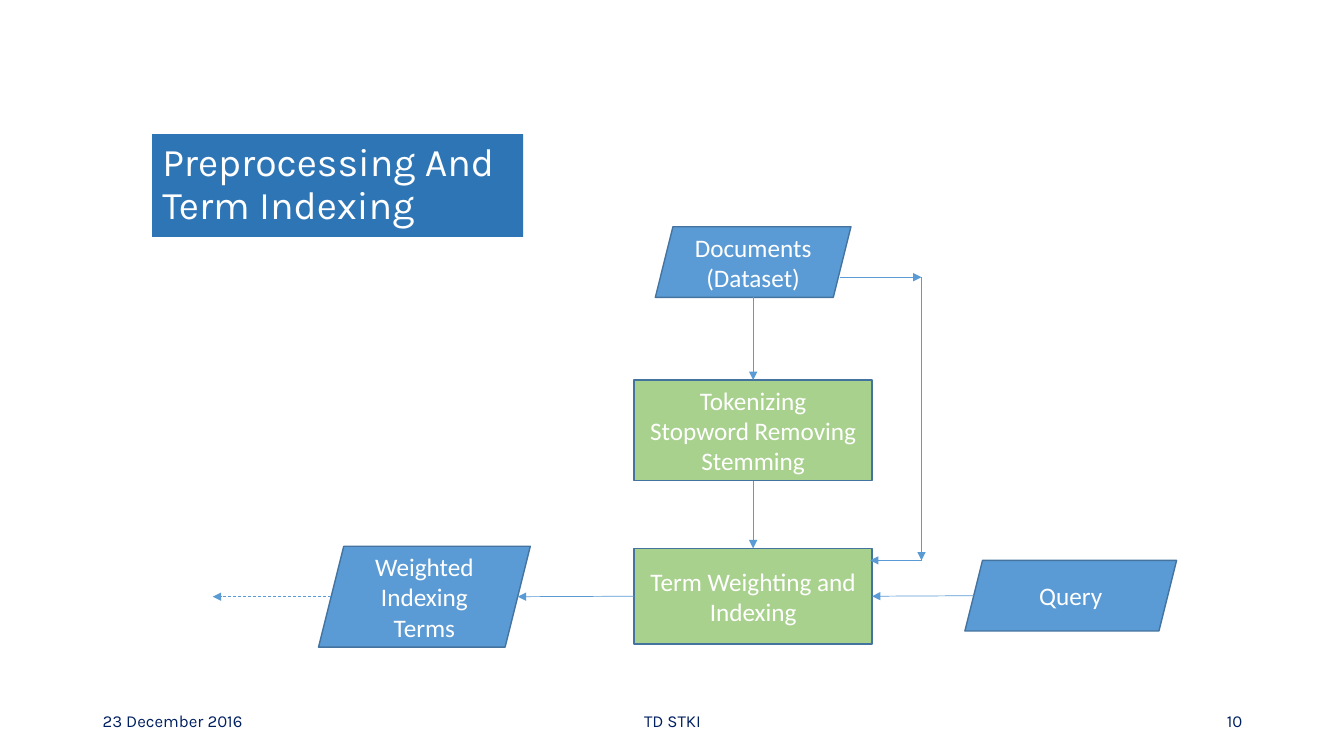
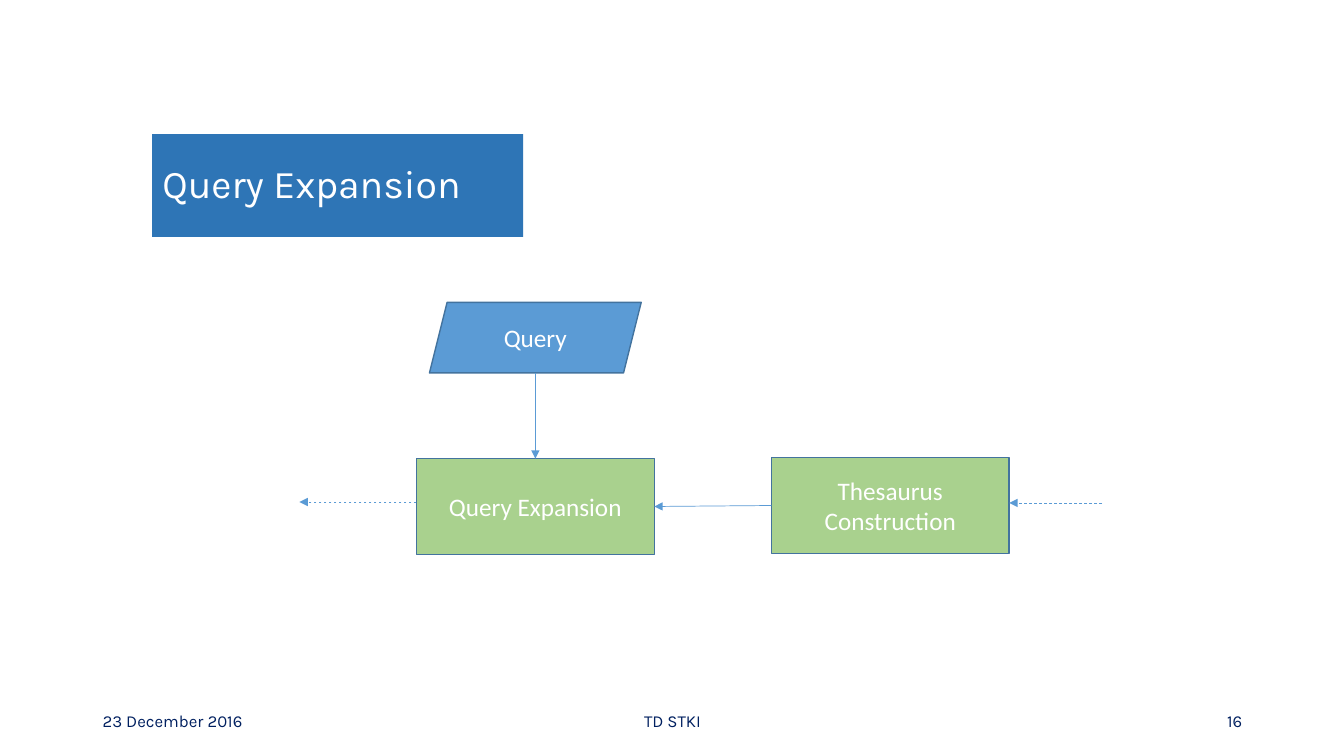
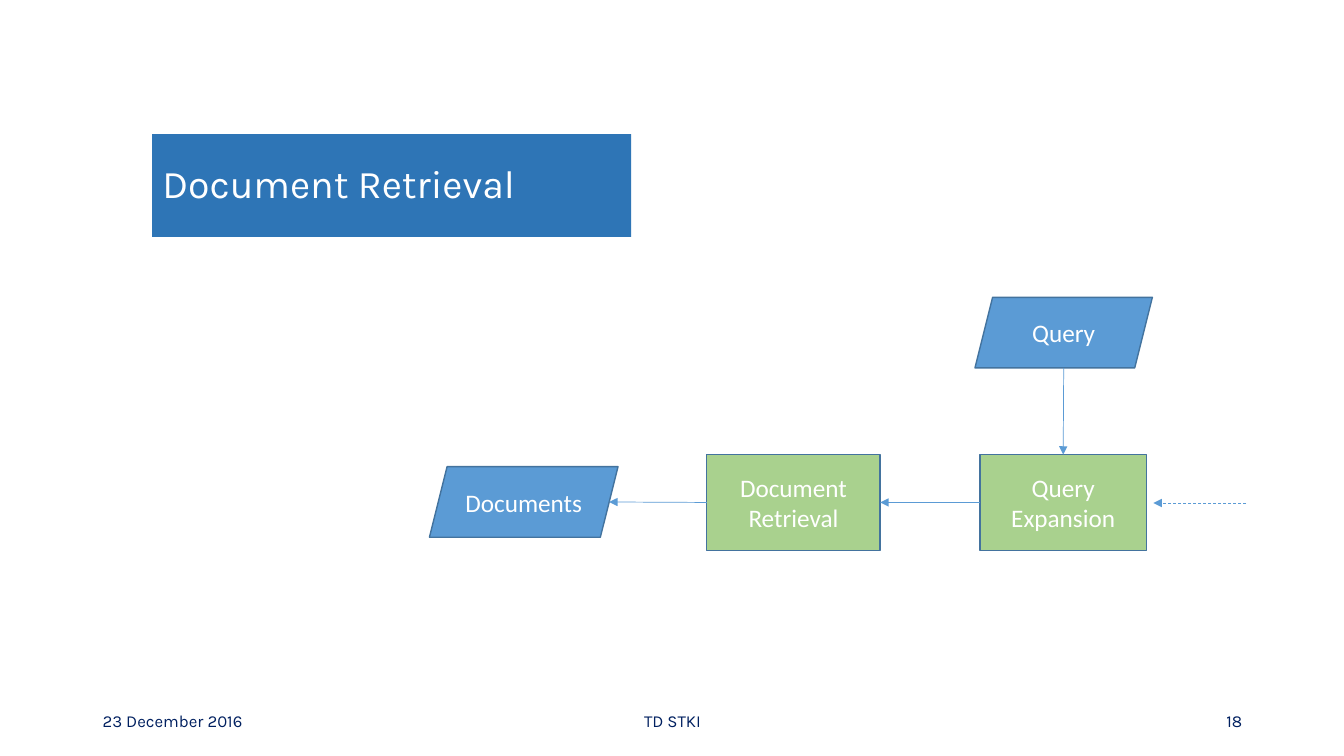
import itertools

import pptx
import pptx.dml.color
import pptx.enum.dml
import pptx.enum.shapes
import pptx.enum.text
import pptx.oxml
import pptx.oxml.ns
import pptx.util

Inches = pptx.util.Inches
Pt = pptx.util.Pt
RGBColor = pptx.dml.color.RGBColor
Align = pptx.enum.text.PP_ALIGN
Shapes = pptx.enum.shapes.MSO_SHAPE

WHITE = RGBColor(0xFF, 0xFF, 0xFF)
NAVY = RGBColor(0x00, 0x20, 0x60)
TITLE_BLUE = RGBColor(0x2E, 0x75, 0xB6)
DATA_BLUE = RGBColor(0x5B, 0x9B, 0xD5)
PROCESS_GREEN = RGBColor(0xA9, 0xD1, 0x8E)
OUTLINE = RGBColor(0x43, 0x73, 0x9E)

TITLE_FONT = {"name": "Karla", "size": Pt(28)}
FOOTER_FONT = {"name": "Karla", "size": Pt(12)}
NODE_FONT = {"name": "Calibri", "size": Pt(18)}
FRAME = {
    "word_wrap": True,
    "auto_size": pptx.enum.text.MSO_AUTO_SIZE.NONE,
    "vertical_anchor": pptx.enum.text.MSO_ANCHOR.MIDDLE,
}
TOP, LEFT, BOTTOM, RIGHT = range(4)


def apply(target, values):
    for name, value in values.items():
        setattr(target, name, value)


def write(shape, text, font, colour, alignment, **layout):
    shape.text_frame.text = text
    apply(shape.text_frame, FRAME)
    for para in shape.text_frame.paragraphs:
        apply(para, {"alignment": alignment, **layout})
        for span in para.runs:
            apply(span.font, font)
            span.font.color.rgb = colour


def add_title(slide, text, left, top, width, height):
    title = slide.shapes.title
    box = {"left": left, "top": top, "width": width, "height": height}
    apply(title, {name: Inches(value) for name, value in box.items()})
    title.fill.solid()
    title.fill.fore_color.rgb = TITLE_BLUE
    write(title, text, TITLE_FONT, WHITE, Align.LEFT, line_spacing=0.9)


def add_footer(slide, number, left, top, width, height):
    parts = [
        ("23 December 2016", 0, 3, Align.LEFT),
        ("TD STKI", (width - 4.5) / 2, 4.5, Align.CENTER),
        (number, width - 3, 3, Align.RIGHT),
    ]
    for text, offset, part_width, alignment in parts:
        box = slide.shapes.add_textbox(
            Inches(left + offset), Inches(top), Inches(part_width), Inches(height))
        write(box, text, FOOTER_FONT, NAVY, alignment)


class Flow:
    def __init__(self, slide, left, top):
        self.shapes = slide.shapes
        self.left = Inches(left)
        self.top = Inches(top)

    def node(self, preset, colour, text, left, top, width, height):
        shape = self.shapes.add_shape(
            preset, self.left + Inches(left), self.top + Inches(top),
            Inches(width), Inches(height))
        shape.shadow.inherit = False
        shape.fill.solid()
        shape.fill.fore_color.rgb = colour
        shape.line.color.rgb = OUTLINE
        shape.line.width = Pt(1)
        write(shape, text, NODE_FONT, WHITE, Align.CENTER)
        return shape

    def data(self, *details):
        return self.node(Shapes.PARALLELOGRAM, DATA_BLUE, *details)

    def process(self, *details):
        return self.node(Shapes.RECTANGLE, PROCESS_GREEN, *details)

    def locate(self, end):
        first, second = end
        if isinstance(first, (int, float)):
            return self.left + Inches(first), self.top + Inches(second)
        slant = first.height // 8 if first.auto_shape_type == Shapes.PARALLELOGRAM else 0
        middle_x = first.left + first.width // 2
        middle_y = first.top + first.height // 2
        return {
            TOP: (middle_x, first.top),
            LEFT: (first.left + slant, middle_y),
            BOTTOM: (middle_x, first.top + first.height),
            RIGHT: (first.left + first.width - slant, middle_y),
        }[second]

    def arrow(self, start, end, dashed=False):
        line = self.shapes.add_connector(
            pptx.enum.shapes.MSO_CONNECTOR.STRAIGHT, *self.locate(start), *self.locate(end))
        for (target, site), connect in ((start, line.begin_connect), (end, line.end_connect)):
            if getattr(target, "auto_shape_type", None) == Shapes.RECTANGLE:
                connect(target, site)
        line.line.color.rgb = DATA_BLUE
        line.line.width = Pt(0.5)
        if dashed:
            line.line.dash_style = pptx.enum.dml.MSO_LINE.DASH
        properties = line._element.spPr
        head = pptx.oxml.parse_xml(
            f'<a:tailEnd {pptx.oxml.ns.nsdecls("a")} type="triangle"/>')
        properties.find(pptx.oxml.ns.qn("a:ln")).append(head)
        properties.append(pptx.oxml.parse_xml(f'<a:effectLst {pptx.oxml.ns.nsdecls("a")}/>'))


def draw_preprocessing(slide, left, top):
    flow = Flow(slide, left, top)
    documents = flow.data("Documents\n(Dataset)", 4.39, 0, 1.94, 0.7)
    cleaning = flow.process("Tokenizing\nStopword Removing\nStemming", 4.18, 1.52, 2.36, 1)
    terms = flow.data("Weighted Indexing\nTerms", 1.05, 3.17, 2.1, 1)
    weighting = flow.process("Term Weighting and Indexing", 4.18, 3.19, 2.36, 0.95)
    query = flow.data("Query", 7.46, 3.31, 2.1, 0.7)
    flow.arrow((documents, BOTTOM), (cleaning, TOP))
    flow.arrow((cleaning, BOTTOM), (weighting, TOP))
    flow.arrow((query, LEFT), (weighting, RIGHT))
    flow.arrow((weighting, LEFT), (terms, RIGHT))
    flow.arrow((terms, LEFT), (0, 3.67), dashed=True)
    detour = [(6.22, 0.5), (7.03, 0.5), (7.03, 3.31), (6.52, 3.31)]
    for start, end in zip(detour, itertools.islice(detour, 1, None)):
        flow.arrow(start, end)


def draw_expansion(slide, left, top):
    flow = Flow(slide, left, top)
    query = flow.data("Query", 1.29, 0, 2.1, 0.7)
    expansion = flow.process("Query Expansion", 1.16, 1.55, 2.36, 0.95)
    thesaurus = flow.process("Thesaurus Construction", 4.68, 1.54, 2.36, 0.95)
    flow.arrow((query, BOTTOM), (expansion, TOP))
    flow.arrow((thesaurus, LEFT), (expansion, RIGHT))
    flow.arrow((7.96, 1.99), (7.04, 1.99), dashed=True)
    flow.arrow((1.16, 1.98), (0, 1.98), dashed=True)


def draw_retrieval(slide, left, top):
    flow = Flow(slide, left, top)
    query = flow.data("Query", 5.41, 0, 1.76, 0.7)
    expansion = flow.process("Query Expansion", 5.46, 1.56, 1.65, 0.95)
    retrieval = flow.process("Document Retrieval", 2.75, 1.56, 1.72, 0.95)
    documents = flow.data("Documents", 0, 1.68, 1.87, 0.7)
    flow.arrow((query, BOTTOM), (expansion, TOP))
    flow.arrow((expansion, LEFT), (retrieval, RIGHT))
    flow.arrow((retrieval, LEFT), (documents, RIGHT))
    flow.arrow((8.1, 2.04), (7.18, 2.04), dashed=True)


def main():
    deck = pptx.Presentation()
    deck.slide_width = Inches(13.33)
    deck.slide_height = Inches(7.5)
    pages = [
        ("Preprocessing And Term Indexing", 3.68, "10", draw_preprocessing, 2.11, 2.25),
        ("Query Expansion", 3.68, "16", draw_expansion, 2.97, 3),
        ("Document Retrieval", 4.75, "18", draw_retrieval, 4.26, 2.95),
    ]
    for title, title_width, number, draw, left, top in pages:
        page = deck.slides.add_slide(deck.slide_layouts[5])
        add_title(page, title, 1.51, 1.33, title_width, 1.02)
        add_footer(page, number, 0.92, 6.95, 11.5, 0.4)
        draw(page, left, top)
    deck.save("out.pptx")


if __name__ == "__main__":
    main()
